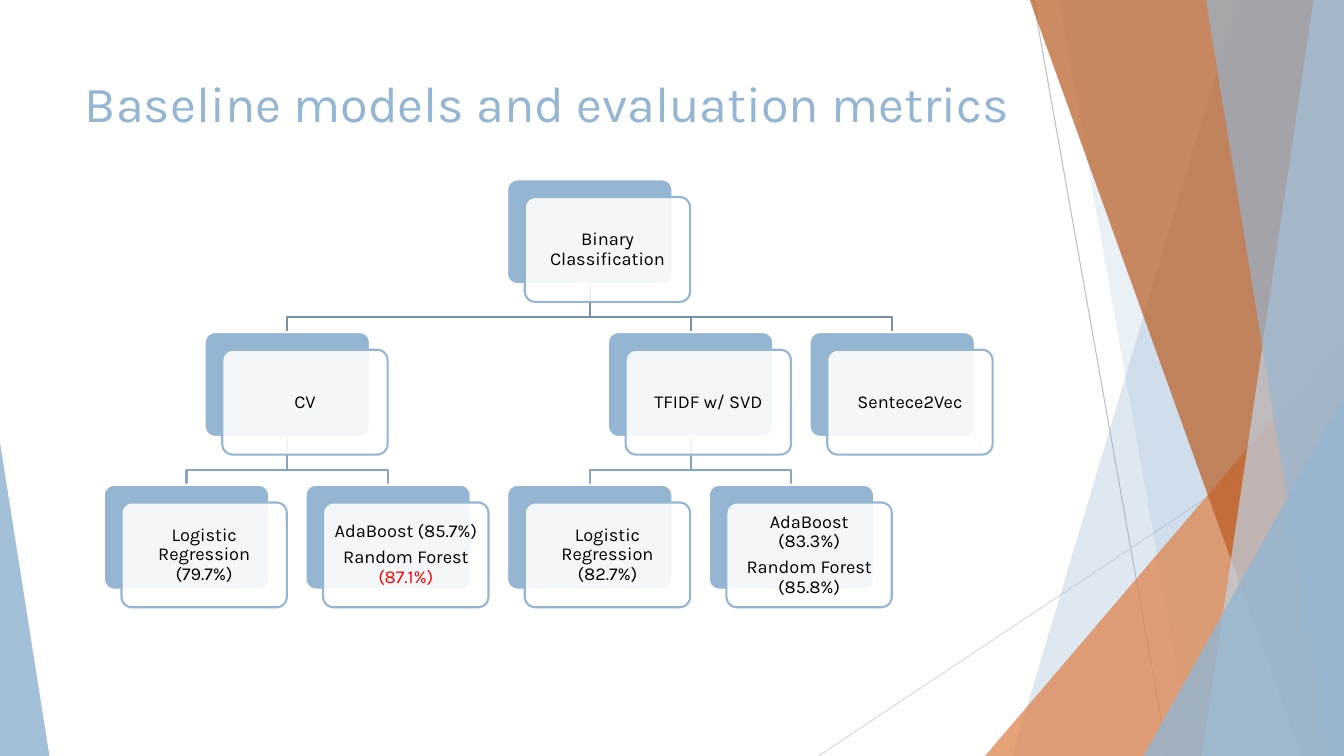
from lxml import etree
from pptx import Presentation
from pptx.dml.color import RGBColor
from pptx.enum.shapes import MSO_CONNECTOR, MSO_SHAPE
from pptx.enum.text import MSO_ANCHOR, PP_ALIGN
from pptx.oxml.ns import qn
from pptx.util import Inches, Pt

STRAIGHT = MSO_CONNECTOR.STRAIGHT
TRIANGLE, ROUNDED = MSO_SHAPE.ISOSCELES_TRIANGLE, MSO_SHAPE.ROUNDED_RECTANGLE
TOP, MIDDLE = MSO_ANCHOR.TOP, MSO_ANCHOR.MIDDLE
LEFT, CENTER = PP_ALIGN.LEFT, PP_ALIGN.CENTER

FONT = "Karla"
COLORS = {
    "blue": "94B6D2", "pale_blue": "BFD3E4", "orange": "DD8047", "rust": "B95B22",
    "white": "FFFFFF", "black": "000000", "red": "FF0000",
    "gray": "BFBFBF", "light_gray": "D9D9D9",
}
BRANCH_COLORS = ["7792A8", "86A5BF"]

TITLE = "Baseline models and evaluation metrics"
WIDTH, HEIGHT, BLEED = 13.33, 7.5, -0.01

RAYS = [((10.25, 0), (11.58, HEIGHT), "gray"), ((WIDTH, 4.03), (8.12, HEIGHT), "light_gray")]

# kind, geometry, colour, opacity
FACETS = [
    ("band", (12.28, 10.04), "blue", 30),
    ("band", (10.5, 11.83), "blue", 20),
    ("triangle", (9.77, 3.33, 3.56, 1), "orange", 72),
    ("band", (10.21, 12.91), "rust", 70),
    ("band", (13.03, 11.92), "pale_blue", 70),
    ("band", (11.96, 13.18), "blue", 65),
    ("triangle", (11.34, 3.93, 1.99, 1), "blue", 80),
    ("triangle", (0, 4.39, 0.49, 0), "blue", 85),
]

# name: parent, column, level, paragraphs of (text, colour) runs
NODES = {
    "root": (None, 4, 0, [[("Binary Classification", "black")]]),
    "cv": ("root", 1, 1, [[("CV", "black")]]),
    "cv_logistic": ("cv", 0, 2, [[("Logistic Regression (79.7%)", "black")]]),
    "cv_trees": ("cv", 2, 2, [[("AdaBoost (85.7%)", "black")],
                              [("Random Forest ", "black"), ("(87.1%)", "red")]]),
    "tfidf": ("root", 5, 1, [[("TFIDF w/ SVD", "black")]]),
    "tfidf_logistic": ("tfidf", 4, 2, [[("Logistic Regression (82.7%)", "black")]]),
    "tfidf_trees": ("tfidf", 6, 2, [[("AdaBoost (83.3%)", "black")],
                                    [("Random Forest (85.8%)", "black")]]),
    "sentence": ("root", 7, 1, [[("Sentece2Vec", "black")]]),
}
TREE_LEFT, TREE_TOP, LEVEL_STEP = 1.03, 1.78, 1.515
CARD_W, CARD_H, CARD_SHIFT = 1.64, 1.04, 0.175
ELBOW_GAP = 0.15


def rgb(value):
    return RGBColor.from_string(value)


def paint(s, fill=None, opacity=100, line=None):
    s.shadow.inherit = False
    if fill:
        s.fill.solid()
        s.fill.fore_color.rgb = rgb(fill)
        if opacity < 100:
            clr = s.fill._xPr.find(qn("a:solidFill"))[0]
            etree.SubElement(clr, qn("a:alpha")).set("val", str(opacity * 1000))
    else:
        s.fill.background()
    if line:
        s.line.color.rgb = rgb(line)
        s.line.width = Pt(1.5)
    else:
        s.line.fill.background()


def write(s, paragraphs, size=13, align=CENTER, anchor=MIDDLE, inset=0.08,
          line_spacing=0.9, space_after=4.5):
    tf = s.text_frame
    tf.word_wrap = True
    tf.vertical_anchor = anchor
    tf.margin_left = tf.margin_right = Inches(inset)
    tf.margin_top = tf.margin_bottom = Inches(0.05)
    for i, runs in enumerate(paragraphs):
        p = tf.add_paragraph() if i else tf.paragraphs[0]
        p.alignment = align
        p.line_spacing = line_spacing
        p.space_before = Pt(0)
        p.space_after = Pt(space_after)
        for text, color in runs:
            r = p.add_run()
            r.text = text
            r.font.name = FONT
            r.font.size = Pt(size)
            r.font.color.rgb = rgb(COLORS[color])


def freeform(shapes, points, close):
    pts = [(Inches(x), Inches(y)) for x, y in points]
    builder = shapes.build_freeform(*pts[0], scale=1.0)
    builder.add_line_segments(pts[1:], close=close)
    return builder.convert_to_shape()


def draw_backdrop(shapes):
    for start, end, color in RAYS:
        ray = shapes.add_connector(STRAIGHT, *map(Inches, start + end))
        ray.line.color.rgb = rgb(COLORS[color])
        ray.line.width = Pt(0.75)
        etree.SubElement(ray._element.spPr, qn("a:effectLst"))
    for kind, geometry, color, opacity in FACETS:
        if kind == "band":
            top_x, bottom_x = geometry
            s = freeform(shapes, [(top_x, BLEED), (WIDTH, BLEED), (WIDTH, HEIGHT),
                                  (bottom_x, HEIGHT)], True)
        else:
            x, y, w, apex = geometry
            s = shapes.add_shape(TRIANGLE, *map(Inches, (x, y, w, HEIGHT - y)))
            s.adjustments[0] = apex
        paint(s, COLORS[color], opacity)


def corner(name):
    _, column, level, _ = NODES[name]
    return TREE_LEFT + column, TREE_TOP + level * LEVEL_STEP


def draw_branch(shapes, parent, child):
    px, py = corner(parent)
    cx, cy = corner(child)
    px, cx, bend = px + CARD_W / 2, cx + CARD_W / 2, cy - ELBOW_GAP
    s = freeform(shapes, [(px, py + CARD_H), (px, bend), (cx, bend), (cx, cy)], False)
    paint(s, line=BRANCH_COLORS[NODES[parent][2]])


def draw_node(shapes, name):
    x, y = corner(name)
    for shift, fill, opacity, line in ((0, "blue", 100, "white"),
                                       (CARD_SHIFT, "white", 90, "blue")):
        s = shapes.add_shape(ROUNDED, *map(Inches, (x + shift, y + shift, CARD_W, CARD_H)))
        s.adjustments[0] = 0.1
        paint(s, COLORS[fill], opacity, COLORS[line])
    write(s, NODES[name][3])


def main():
    prs = Presentation()
    prs.slide_width, prs.slide_height = Inches(WIDTH), Inches(HEIGHT)
    slide = prs.slides.add_slide(prs.slide_layouts[5])
    shapes = slide.shapes
    draw_backdrop(shapes)

    title = shapes.title
    title.left, title.top, title.width, title.height = map(Inches, (0.74, 0.67, 9.4, 1.44))
    write(title, [[(TITLE, "blue")]], size=36, align=LEFT, anchor=TOP, inset=0.1,
          line_spacing=1.0, space_after=0)

    for name, node in NODES.items():
        if node[0]:
            draw_branch(shapes, node[0], name)
    for name in NODES:
        draw_node(shapes, name)
    prs.save("out.pptx")


if __name__ == "__main__":
    main()
